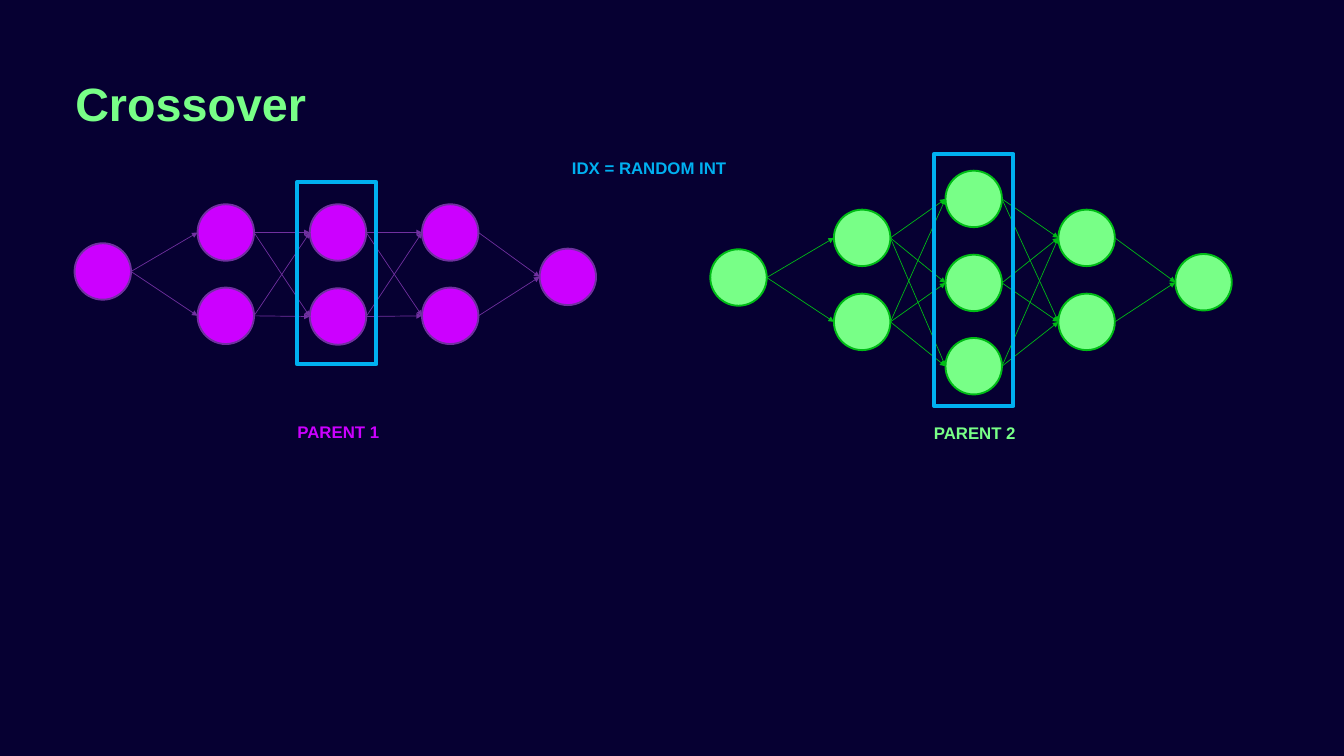
from itertools import pairwise, product

from lxml.etree import SubElement
from pptx import Presentation
from pptx.dml.color import RGBColor
from pptx.enum.shapes import MSO_CONNECTOR, MSO_SHAPE
from pptx.enum.text import MSO_ANCHOR, MSO_AUTO_SIZE, PP_ALIGN
from pptx.oxml.ns import qn
from pptx.util import Inches, Pt

NAVY = RGBColor(0x06, 0x00, 0x32)
MAGENTA = RGBColor(0xCC, 0x00, 0xFF)
PURPLE = RGBColor(0x70, 0x30, 0xA0)
LIGHT_GREEN = RGBColor(0x78, 0xFF, 0x87)
GREEN = RGBColor(0x00, 0xBC, 0x16)
BLUE = RGBColor(0x00, 0xB0, 0xF0)

NODE = 0.84

# Each network: node fill, outline, then layers as (left, node tops)
NETWORKS = [
    (MAGENTA, PURPLE, [
        (1.11, [3.62]), (2.94, [3.04, 4.28]), (4.61, [3.04, 4.29]),
        (6.28, [3.04, 4.28]), (8.03, [3.7])]),
    (LIGHT_GREEN, GREEN, [
        (10.57, [3.71]), (12.41, [3.12, 4.37]), (14.07, [2.54, 3.79, 5.03]),
        (15.75, [3.12, 4.37]), (17.49, [3.78])]),
]
LABELS = [
    ("PARENT 1", MAGENTA, 3.7, 6.22, 2.67),
    ("PARENT 2", LIGHT_GREEN, 13.17, 6.24, 2.67),
    ("IDX = RANDOM INT", BLUE, 7.92, 2.3, 3.48),
]
# Selected layers: left, top, height
SELECTIONS = [(4.42, 2.71, 2.71), (13.9, 2.29, 3.75)]


def add_bold_run(paragraph, text, size, color):
    run = paragraph.add_run()
    run.text = text
    run.font.name = "Arial"
    run.font.size = Pt(size)
    run.font.bold = True
    run.font.color.rgb = color


def add_arrow(x1, y1, x2, y2, color):
    arrow = slide.shapes.add_connector(
        MSO_CONNECTOR.STRAIGHT, Inches(x1), Inches(y1), Inches(x2), Inches(y2))
    arrow.line.color.rgb = color
    arrow.line.width = Pt(0.75)
    properties = arrow.element.spPr
    SubElement(properties.find(qn("a:ln")), qn("a:tailEnd"), type="triangle")
    SubElement(properties, qn("a:effectLst"))


prs = Presentation()
prs.slide_width = Inches(20)
prs.slide_height = Inches(11.25)
slide = prs.slides.add_slide(prs.slide_layouts[5])
slide.background.fill.solid()
slide.background.fill.fore_color.rgb = NAVY

# Title
title = slide.shapes.title
title.left, title.top = Inches(1.12), Inches(1.11)
title.width, title.height = Inches(12.12), Inches(0.84)
frame = title.text_frame
frame.margin_left = frame.margin_right = frame.margin_top = frame.margin_bottom = 0
frame.vertical_anchor = MSO_ANCHOR.TOP
frame.auto_size = MSO_AUTO_SIZE.SHAPE_TO_FIT_TEXT
heading = frame.paragraphs[0]
heading.alignment = PP_ALIGN.LEFT
heading.line_spacing = Pt(60)
add_bold_run(heading, "Crossover", 50, LIGHT_GREEN)

# Parent networks
for fill, outline, layers in NETWORKS:
    for left, tops in layers:
        for top in tops:
            node = slide.shapes.add_shape(
                MSO_SHAPE.OVAL, Inches(left), Inches(top), Inches(NODE), Inches(NODE))
            node.shadow.inherit = False
            node.fill.solid()
            node.fill.fore_color.rgb = fill
            node.line.color.rgb = outline
            node.line.width = Pt(2)

    # Every node feeds every node of the next layer
    for (left, tops), (next_left, next_tops) in pairwise(layers):
        for top, next_top in product(tops, next_tops):
            add_arrow(left + NODE, top + NODE / 2, next_left, next_top + NODE / 2, outline)

# Frames around the layers to swap
for left, top, height in SELECTIONS:
    selection = slide.shapes.add_shape(
        MSO_SHAPE.RECTANGLE, Inches(left), Inches(top), Inches(1.18), Inches(height))
    selection.shadow.inherit = False
    selection.fill.background()
    selection.line.color.rgb = BLUE
    selection.line.width = Pt(4.5)

# Labels
for text, color, left, top, width in LABELS:
    label = slide.shapes.add_textbox(Inches(left), Inches(top), Inches(width), Inches(0.4))
    label.text_frame.word_wrap = True
    label.text_frame.auto_size = MSO_AUTO_SIZE.SHAPE_TO_FIT_TEXT
    caption = label.text_frame.paragraphs[0]
    caption.alignment = PP_ALIGN.CENTER
    add_bold_run(caption, text, 18, color)

prs.save("out.pptx")
